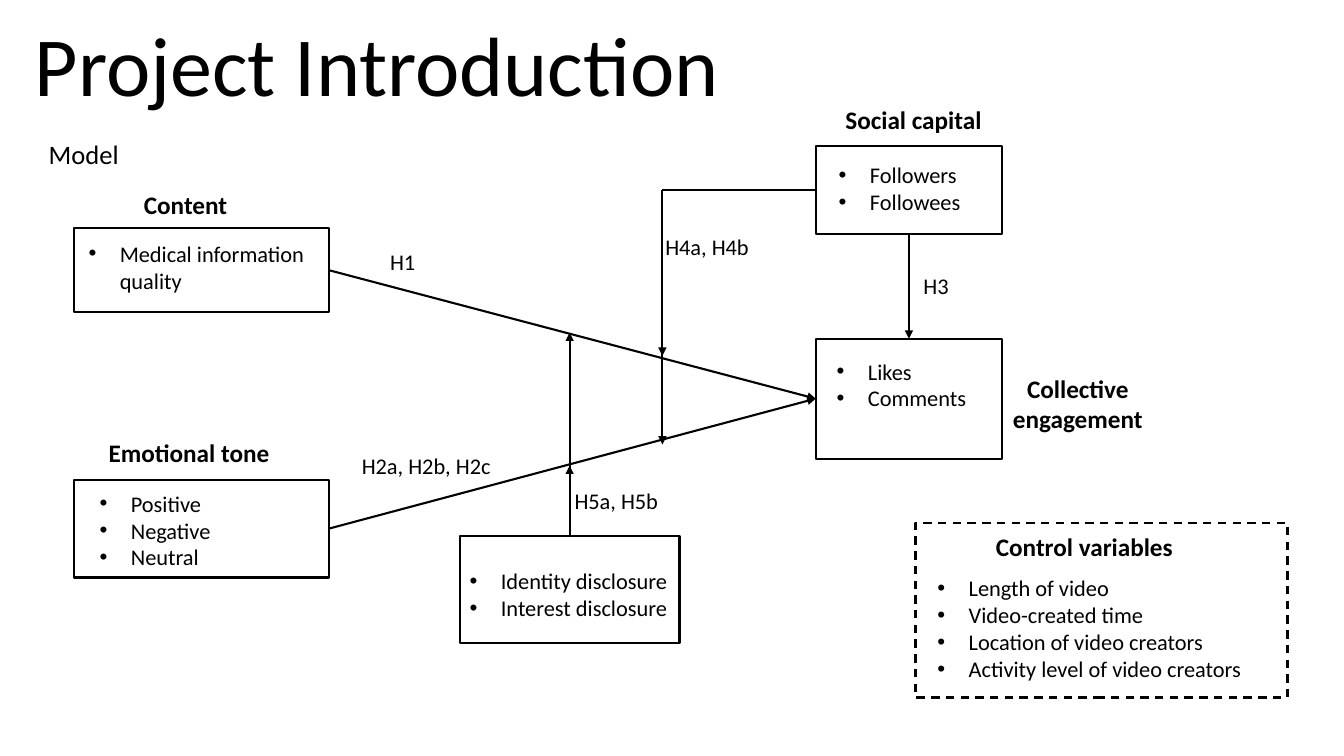
"""Build the Project Introduction slide with its research model diagram."""
from dataclasses import dataclass

from lxml import etree
from pptx import Presentation
from pptx.dml.color import RGBColor
from pptx.enum.dml import MSO_LINE_DASH_STYLE as DASH
from pptx.enum.shapes import MSO_CONNECTOR as CONN, MSO_SHAPE as SHAPE
from pptx.enum.text import MSO_ANCHOR as ANCHOR, PP_ALIGN as ALIGN
from pptx.oxml.ns import qn
from pptx.util import Inches, Pt


@dataclass(frozen=True)
class Theme:
    font: str = "Calibri"
    ink: RGBColor = RGBColor(0, 0, 0)
    paper: RGBColor = RGBColor(255, 255, 255)
    title: int = 60
    model: int = 19
    heading: int = 18
    body: int = 16
    line: float = 1.5
    indent: float = 0.31


THEME = Theme()

TITLE = ("Project Introduction", (0, 0.03, 7.48, 1.16))
MODEL = ("Model", (-0.18, 1.35, 2.02, 0.45))

BOXES = {
    "engagement": (8.09, 3.36, 1.85, 1.19),
    "emotion": (0.73, 4.76, 2.53, 0.97),
    "capital": (8.09, 1.45, 1.85, 0.87),
    "content": (0.73, 2.26, 2.53, 0.84),
    "disclosure": (4.56, 5.32, 2.18, 1.06),
    "controls": (9.08, 5.19, 3.69, 1.73),
}
DASHED = {"controls"}

HEADINGS = [
    ("Collective engagement", (9.83, 3.65, 1.72, 0.71)),
    ("Social capital", (8.2, 0.99, 1.72, 0.4)),
    ("Content", (0.98, 1.83, 1.72, 0.4)),
    ("Emotional tone", (0.89, 4.29, 1.97, 0.4)),
    ("Control variables", (9.06, 5.22, 3.39, 0.4)),
]

LISTS = [
    (["Likes", "Comments"], (8.2, 3.5, 1.62, 0.64)),
    (["Followers", "Followees"], (8.22, 1.55, 1.72, 0.64)),
    (["Positive", "Negative", "Neutral"], (0.89, 4.81, 2.16, 0.91)),
    (["Medical information quality"], (0.78, 2.33, 2.43, 0.64)),
    (["Identity disclosure", "Interest disclosure"], (4.56, 5.58, 2.3, 0.64)),
    (["Length of video", "Video-created time", "Location of video creators",
      "Activity level of video creators"], (9.2, 5.65, 3.4, 1.18)),
]

HYPOTHESES = [
    ("H1", (3.77, 2.41, 1.19, 0.37)),
    ("H2a, H2b, H2c", (3.49, 4.44, 1.84, 0.37)),
    ("H3", (9.06, 2.65, 0.88, 0.37)),
    ("H4a, H4b", (6.5, 2.26, 1.3, 0.37)),
    ("H5a, H5b", (5.6, 4.78, 1.3, 0.37)),
]

CAPITAL_X = 6.57
CAPITAL_STOPS = [3.53, 4.41]
DISCLOSURE_STOPS = [3.3, 4.62]


def left(name):
    x, y, w, h = BOXES[name]
    return x, y + h / 2


def right(name):
    x, y, w, h = BOXES[name]
    return x + w, y + h / 2


def top(name):
    x, y, w, h = BOXES[name]
    return x + w / 2, y


def bottom(name):
    x, y, w, h = BOXES[name]
    return x + w / 2, y + h


def add_text(slide, text, rect, *, size=THEME.body, bold=False, align=ALIGN.LEFT,
             anchor=ANCHOR.TOP, spacing=1.0, before=0, bullet=False):
    tf = slide.shapes.add_textbox(*map(Inches, rect)).text_frame
    tf.word_wrap = True
    tf.vertical_anchor = anchor
    for i, line in enumerate([text] if isinstance(text, str) else text):
        p = tf.add_paragraph() if i else tf.paragraphs[0]
        p.alignment = align
        p.line_spacing = spacing
        p.space_before = Pt(before)
        r = p.add_run()
        r.text = line
        r.font.name = THEME.font
        r.font.size = Pt(size)
        r.font.bold = bold
        r.font.color.rgb = THEME.ink
        if bullet:
            pPr = p._p.get_or_add_pPr()
            pPr.set("marL", str(Inches(THEME.indent)))
            pPr.set("indent", str(-Inches(THEME.indent)))
            etree.SubElement(pPr, qn("a:buFont")).set("typeface", "Arial")
            etree.SubElement(pPr, qn("a:buChar")).set("char", "•")


def set_line(line):
    line.color.rgb = THEME.ink
    line.width = Pt(THEME.line)


def add_box(slide, rect, dashed):
    s = slide.shapes.add_shape(SHAPE.RECTANGLE, *map(Inches, rect))
    s.shadow.inherit = False
    s.fill.background()
    set_line(s.line)
    if dashed:
        s.line.dash_style = DASH.DASH


def add_line(slide, start, end, arrow=True):
    c = slide.shapes.add_connector(CONN.STRAIGHT, *map(Inches, (*start, *end)))
    set_line(c.line)
    if arrow:
        etree.SubElement(c.line._get_or_add_ln(), qn("a:tailEnd")).set("type", "triangle")
    etree.SubElement(c._element.spPr, qn("a:effectLst"))


def main():
    prs = Presentation()
    prs.slide_width, prs.slide_height = Inches(13.33), Inches(7.5)
    slide = prs.slides.add_slide(prs.slide_layouts[6])
    slide.background.fill.solid()
    slide.background.fill.fore_color.rgb = THEME.paper

    add_text(slide, *TITLE, size=THEME.title, align=ALIGN.CENTER,
             anchor=ANCHOR.BOTTOM, spacing=0.9)
    for name, rect in BOXES.items():
        add_box(slide, rect, name in DASHED)

    for source in ("content", "emotion"):
        add_line(slide, right(source), left("engagement"))
    add_line(slide, bottom("capital"), top("engagement"))

    capital = left("capital")
    corner = (CAPITAL_X, capital[1])
    add_line(slide, corner, capital, arrow=False)
    for y in CAPITAL_STOPS:
        add_line(slide, corner, (CAPITAL_X, y))
    disclosure = top("disclosure")
    for y in DISCLOSURE_STOPS:
        add_line(slide, disclosure, (disclosure[0], y))

    for text, rect in HEADINGS:
        add_text(slide, text, rect, size=THEME.heading, bold=True, align=ALIGN.CENTER)
    for items, rect in LISTS:
        add_text(slide, items, rect, bullet=True)
    for text, rect in HYPOTHESES:
        add_text(slide, text, rect)
    add_text(slide, *MODEL, size=THEME.model, align=ALIGN.CENTER, spacing=0.9, before=10)

    prs.save("out.pptx")


if __name__ == "__main__":
    main()
